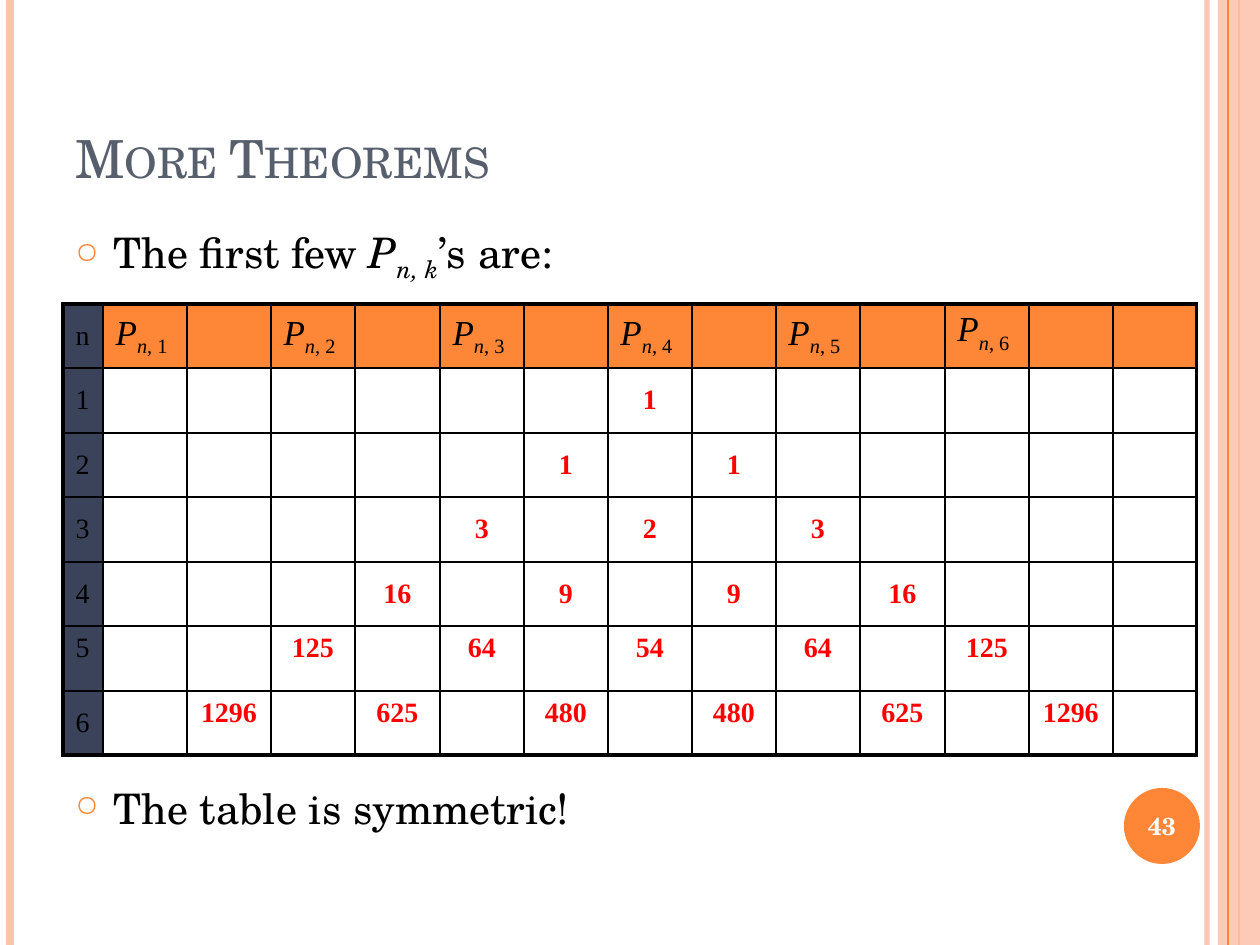
"""Build the "More Theorems" slide with its symmetric table of P(n, k) values."""
from dataclasses import dataclass

from lxml import etree
from pptx import Presentation
from pptx import util as u
from pptx.dml.color import RGBColor
from pptx.enum import shapes, text
from pptx.oxml.ns import qn

PX_PER_INCH = 126
WIDTH, HEIGHT = 1260, 945


@dataclass(frozen=True)
class Theme:
    serif: str = "TeX Gyre Schola"
    table_font: str = "Times New Roman"
    orange: str = "FE8637"
    peach: str = "FEC3AE"
    slate: str = "575F6D"
    navy: str = "3B435B"
    black: str = "000000"
    white: str = "FFFFFF"
    red: str = "FF0000"
    title: int = 30
    body: int = 24
    header: int = 20
    cell: int = 16
    number: int = 14
    thin: float = 1
    thick: float = 2.25


@dataclass(frozen=True)
class Stripe:
    x: int
    color: str
    weight: float
    alpha: int = 100


@dataclass(frozen=True)
class Area:
    left: int
    top: int
    width: int
    height: int

    def emu(self) -> tuple:
        return tuple(px(n) for n in (self.left, self.top, self.width, self.height))


@dataclass(frozen=True)
class Piece:
    words: str
    italic: bool = False
    lowered: bool = False


THEME = Theme()
MIDDLE, TOP, BOTTOM = text.MSO_ANCHOR.MIDDLE, text.MSO_ANCHOR.TOP, text.MSO_ANCHOR.BOTTOM
STRIPES = [
    Stripe(1207, THEME.peach, 3, 93),
    Stripe(10, THEME.peach, 4.5),
    Stripe(1239, THEME.orange, 1.5),
    Stripe(1228, THEME.orange, 0.75),
]
BAND = Area(1218, 0, 42, HEIGHT)
BADGE = Area(1124, 788, 76, 76)
TITLE = Area(63, 38, 1029, 157)
NUMBER = Area(1120, 790, 84, 72)
GRID = Area(63, 304, 1134, 451)
LABEL_WIDTH = 40
BULLETS = [
    (Area(63, 220, 1029, 70), [Piece("The first few "), Piece("P", True),
                               Piece("n, k", True, True), Piece("’s are:")]),
    (Area(63, 776, 1029, 70), [Piece("The table is symmetric!")]),
]
TRIANGLE = [[1], [1, 1], [3, 2, 3], [16, 9, 9, 16], [125, 64, 54, 64, 125],
            [1296, 625, 480, 480, 625, 1296]]
CENTER_COLUMN, COLUMNS = 7, 14


def px(length: int) -> int:
    return round(length * u.Inches(1) / PX_PER_INCH)


def shares(total: int, count: int) -> list:
    edges = [round(total * i / count) for i in range(count + 1)]
    return [end - start for start, end in zip(edges, edges[1:])]


def set_alpha(properties, alpha: int) -> None:
    if alpha < 100:
        color = next(properties.iter(qn("a:srgbClr")))
        etree.SubElement(color, qn("a:alpha")).set("val", str(alpha * 1000))


def add_stripe(page, stripe: Stripe) -> None:
    line = page.shapes.add_connector(shapes.MSO_CONNECTOR.STRAIGHT, px(stripe.x), 0,
                                     px(stripe.x), px(HEIGHT))
    line.line.color.rgb = RGBColor.from_string(stripe.color)
    line.line.width = u.Pt(stripe.weight)
    properties = line._element.spPr
    set_alpha(properties, stripe.alpha)
    etree.SubElement(properties, qn("a:effectLst"))


def add_plain_shape(page, kind, area: Area, color: str, alpha: int = 100) -> None:
    shape = page.shapes.add_shape(kind, *area.emu())
    shape.shadow.inherit = False
    shape.fill.solid()
    shape.fill.fore_color.rgb = RGBColor.from_string(color)
    shape.line.fill.background()
    set_alpha(shape._element.spPr, alpha)


def write(para, pieces: list, size: int, font: str, color: str, bold: bool = False) -> None:
    para.font.size, para.font.name, para.font.bold = u.Pt(size), font, bold
    para.font.color.rgb = RGBColor.from_string(color)
    for piece in pieces:
        span = para.add_run()
        span.text = piece.words
        if piece.italic:
            span.font.italic = True
        if piece.lowered:
            span._r.get_or_add_rPr().set("baseline", "-25000")


def add_box(page, area: Area, anchor):
    box = page.shapes.add_textbox(*area.emu())
    box.text_frame.word_wrap = True
    box.text_frame.vertical_anchor = anchor
    return box.text_frame.paragraphs[0]


def add_title(page) -> None:
    para = add_box(page, TITLE, BOTTOM)
    write(para, [Piece("More Theorems")], THEME.title, THEME.serif, THEME.slate)
    para.runs[0]._r.get_or_add_rPr().set("cap", "small")


def add_bullet(page, area: Area, pieces: list) -> None:
    para = add_box(page, area, TOP)
    properties = para._p.get_or_add_pPr()
    properties.set("marL", str(px(38)))
    properties.set("indent", str(-px(38)))
    color = etree.SubElement(properties, qn("a:buClr"))
    etree.SubElement(color, qn("a:srgbClr")).set("val", THEME.orange)
    etree.SubElement(properties, qn("a:buSzPct")).set("val", "70000")
    etree.SubElement(properties, qn("a:buChar")).set("char", "○")
    write(para, pieces, THEME.body, THEME.serif, THEME.black)


def add_number(page) -> None:
    para = add_box(page, NUMBER, MIDDLE)
    para.alignment = text.PP_ALIGN.CENTER
    write(para, [Piece("43")], THEME.number, THEME.serif, THEME.white, True)


def style_cell(cell, row: int, column: int) -> None:
    properties = cell._tc.get_or_add_tcPr()
    outer = {"lnL": column == 0, "lnR": column == COLUMNS - 1,
             "lnT": row == 0, "lnB": row == len(TRIANGLE)}
    for tag, is_outer in outer.items():
        weight = THEME.thick if is_outer else THEME.thin
        border = etree.SubElement(properties, qn(f"a:{tag}"), w=str(u.Pt(weight)))
        fill = etree.SubElement(border, qn("a:solidFill"))
        etree.SubElement(fill, qn("a:srgbClr")).set("val", THEME.black)
    if column and row:
        cell.fill.background()
    else:
        cell.fill.solid()
        cell.fill.fore_color.rgb = RGBColor.from_string(THEME.orange if column else THEME.navy)


def fill_cell(cell, pieces: list, size: int, color: str, anchor, bold: bool = False) -> None:
    cell.vertical_anchor = anchor
    para = cell.text_frame.paragraphs[0]
    if bold:
        para.alignment = text.PP_ALIGN.CENTER
    write(para, pieces, size, THEME.table_font, color, bold)


def add_grid(page) -> None:
    table = page.shapes.add_table(len(TRIANGLE) + 1, COLUMNS, *GRID.emu()).table
    table.first_row = table.horz_banding = False
    widths = [LABEL_WIDTH] + shares(GRID.width - LABEL_WIDTH, COLUMNS - 1)
    for column, width in zip(table.columns, widths):
        column.width = px(width)
    for r, height in enumerate(shares(GRID.height, len(TRIANGLE) + 1)):
        table.rows[r].height = px(height)
        for c in range(COLUMNS):
            style_cell(table.cell(r, c), r, c)
        fill_cell(table.cell(r, 0), [Piece(str(r or "n"))], THEME.cell, THEME.black,
                  TOP if r == 5 else MIDDLE)
    for k in range(1, len(TRIANGLE) + 1):
        pieces = [Piece("P", True), Piece("n", True, True), Piece(f", {k}", False, True)]
        fill_cell(table.cell(0, 2 * k - 1), pieces, THEME.header, THEME.black,
                  TOP if k == 6 else MIDDLE)
    for r, values in enumerate(TRIANGLE, start=1):
        for j, value in enumerate(values):
            fill_cell(table.cell(r, CENTER_COLUMN + 1 - r + 2 * j), [Piece(str(value))],
                      THEME.cell, THEME.red, TOP if r >= 5 else MIDDLE, True)


def main() -> None:
    deck = Presentation()
    deck.slide_width, deck.slide_height = px(WIDTH), px(HEIGHT)
    page = deck.slides.add_slide(deck.slide_layouts[6])
    for stripe in STRIPES[:3]:
        add_stripe(page, stripe)
    add_plain_shape(page, shapes.MSO_SHAPE.RECTANGLE, BAND, THEME.peach, 87)
    add_stripe(page, STRIPES[3])
    add_plain_shape(page, shapes.MSO_SHAPE.OVAL, BADGE, THEME.orange)
    add_title(page)
    for area, pieces in BULLETS:
        add_bullet(page, area, pieces)
    add_number(page)
    add_grid(page)
    deck.save("out.pptx")


if __name__ == "__main__":
    main()
